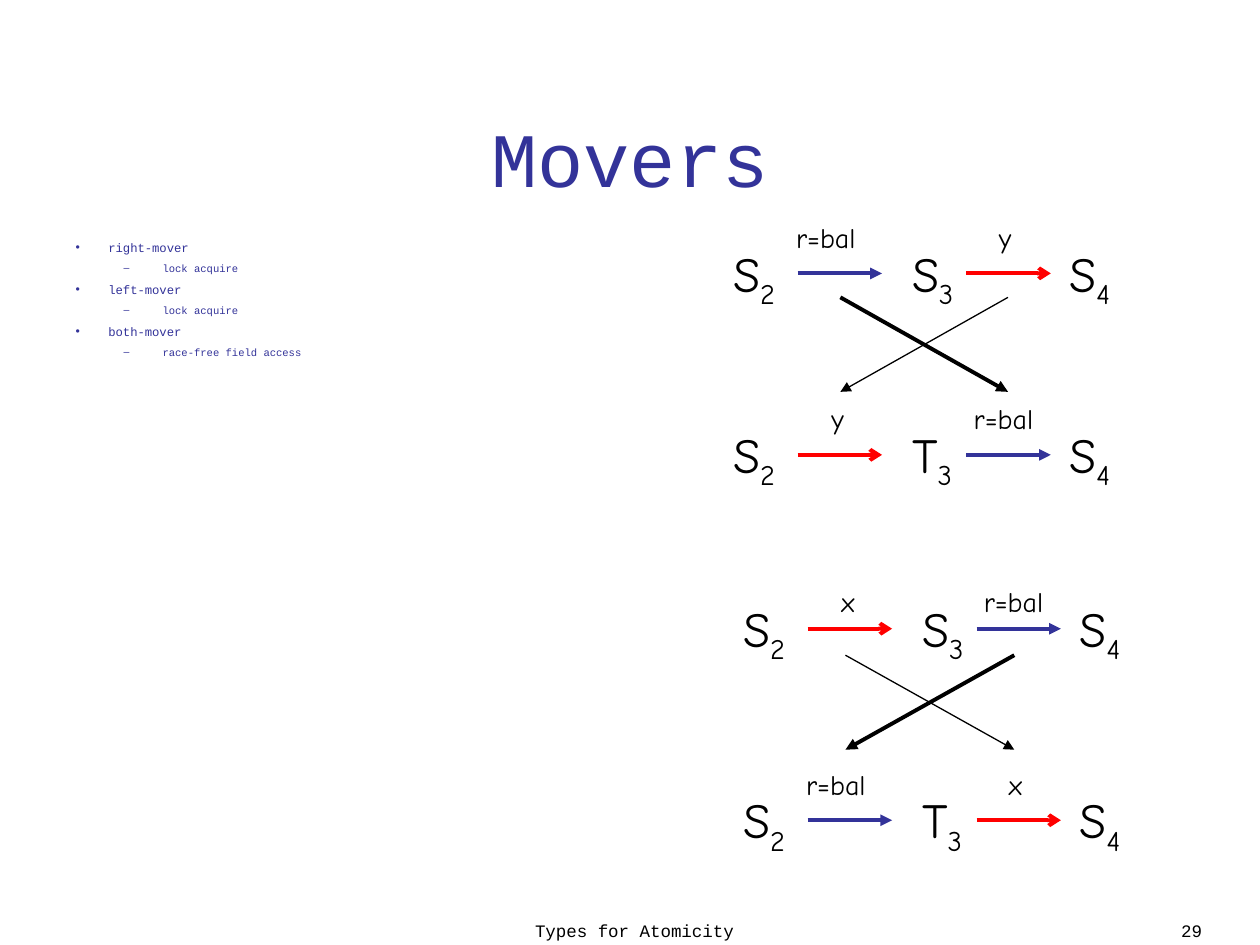
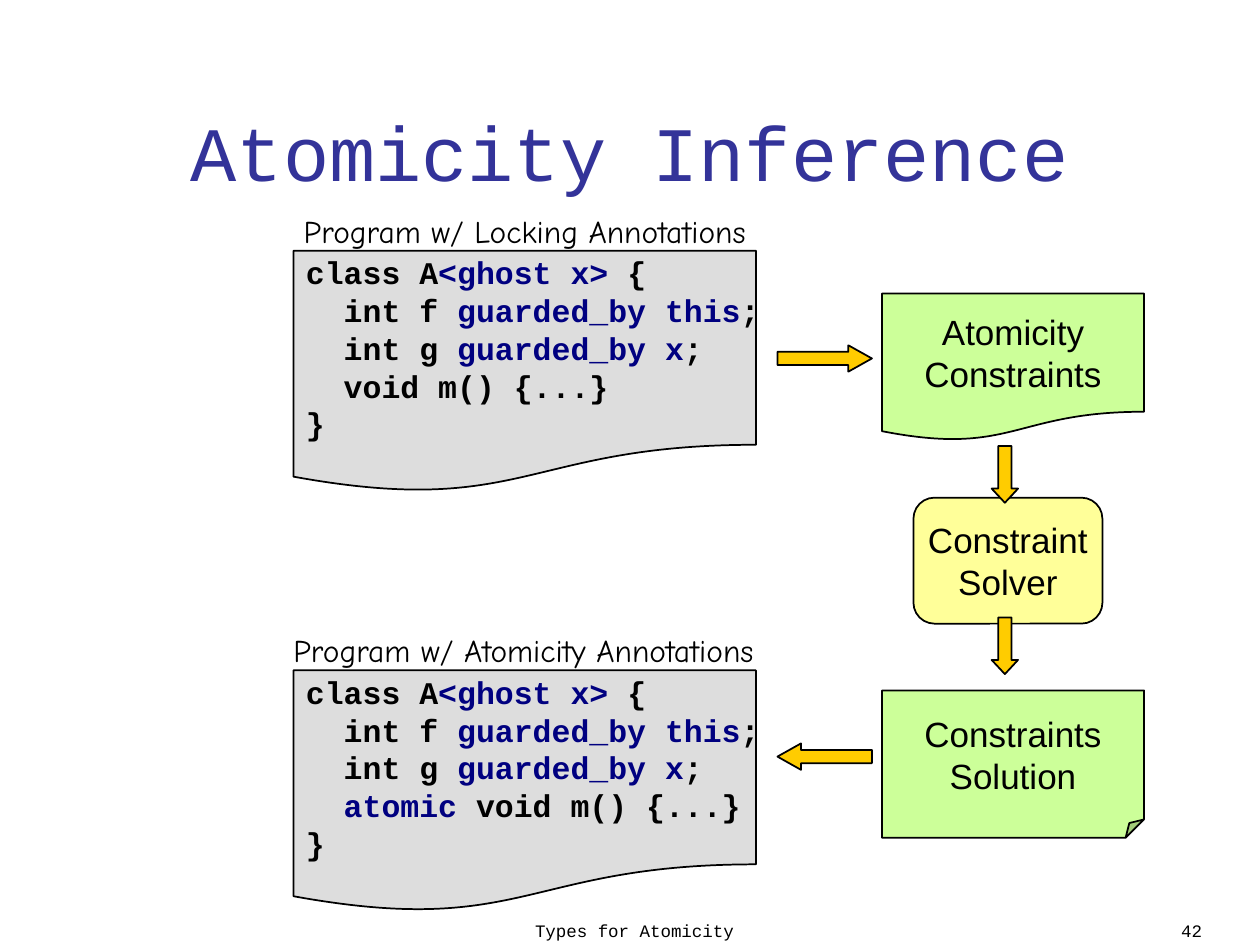
from lxml import etree
from pptx import Presentation
from pptx.dml.color import RGBColor
from pptx.enum.shapes import MSO_CONNECTOR, MSO_SHAPE
from pptx.enum.text import MSO_ANCHOR, MSO_AUTO_SIZE, PP_ALIGN
from pptx.oxml.ns import qn
from pptx.util import Inches, Pt

LEFT, CENTER, RIGHT = PP_ALIGN.LEFT, PP_ALIGN.CENTER, PP_ALIGN.RIGHT
TOP, MIDDLE = MSO_ANCHOR.TOP, MSO_ANCHOR.MIDDLE
NO_AUTOFIT = MSO_AUTO_SIZE.NONE
STRAIGHT = MSO_CONNECTOR.STRAIGHT
DOCUMENT, FOLDED = MSO_SHAPE.FLOWCHART_DOCUMENT, MSO_SHAPE.FOLDED_CORNER
ROUNDED, RIGHT_ARROW = MSO_SHAPE.ROUNDED_RECTANGLE, MSO_SHAPE.RIGHT_ARROW
LEFT_ARROW = MSO_SHAPE.LEFT_ARROW

MONO, COMIC, SANS = "Courier New", "Comic Neue", "Arial"
COLORS = {
    "black": "000000", "indigo": "333399", "red": "FF0000", "navy": "000080",
    "gray": "DDDDDD", "green": "CCFF99", "yellow": "FFFF99", "gold": "FFCC00",
}


def write(frame, text, size=18, font=COMIC, color="black", bold=False,
          align=LEFT, anchor=TOP, wrap=True, accent=None, subscript=False):
    """Fill a text frame; parts between bars are accented or subscripted."""
    frame.auto_size = NO_AUTOFIT
    frame.word_wrap = wrap
    frame.vertical_anchor = anchor
    for i, line in enumerate(text.split("\n")):
        paragraph = frame.paragraphs[0] if i == 0 else frame.add_paragraph()
        paragraph.alignment = align
        for j, part in enumerate(line.split("|")):
            if not part:
                continue
            marked = j % 2 == 1
            run = paragraph.add_run()
            run.text = part
            run.font.size = Pt(size)
            run.font.name = font
            run.font.bold = bold
            tone = accent if marked and accent else color
            run.font.color.rgb = RGBColor.from_string(COLORS[tone])
            if marked and subscript:
                run.font._element.set("baseline", "-25000")


def add_label(slide, left, top, width, height, text, **text_format):
    box = slide.shapes.add_textbox(
        Inches(left), Inches(top), Inches(width), Inches(height))
    write(box.text_frame, text, **text_format)


prs = Presentation()
prs.slide_width, prs.slide_height = Inches(10), Inches(7.5)
movers = prs.slides.add_slide(prs.slide_layouts[1])
inference = prs.slides.add_slide(prs.slide_layouts[5])

# Shared title and footer
for slide, title, (left, top, width, height), number in [
    (movers, "Movers", (0, 0.74, 10, 1), "29"),
    (inference, "Atomicity Inference", (0.5, 0.57, 9, 1.25), "42"),
]:
    heading = slide.shapes.title
    heading.left, heading.top = Inches(left), Inches(top)
    heading.width, heading.height = Inches(width), Inches(height)
    write(heading.text_frame, title, size=44, font=MONO, color="indigo",
          align=CENTER, anchor=MIDDLE)
    add_label(slide, 2.48, 7.25, 5.11, 0.52, "Types for Atomicity",
              size=10, font=MONO, align=CENTER)
    add_label(slide, 7.31, 7.25, 2.33, 0.52, number,
              size=10, font=MONO, align=RIGHT)

# Movers: list of mover kinds, each with an example below it
mover_list = movers.placeholders[1]
mover_list.left, mover_list.top = Inches(0.5), Inches(1.89)
mover_list.width, mover_list.height = Inches(6.5), Inches(0.99)
write(mover_list.text_frame,
      "right-mover\nlock acquire\nleft-mover\nlock acquire\n"
      "both-mover\nrace-free field access",
      size=7, font=MONO, color="indigo")
LEVELS = [("•", 0.26, -0.26, 7), ("–", 0.69, -0.31, 6)]
for i, paragraph in enumerate(mover_list.text_frame.paragraphs):
    level = i % 2
    bullet, margin, indent, size = LEVELS[level]
    paragraph.level = level
    properties = paragraph._p.get_or_add_pPr()
    properties.set("marL", str(Inches(margin)))
    properties.set("indent", str(Inches(indent)))
    bullet_color = etree.SubElement(properties, qn("a:buClr"))
    etree.SubElement(bullet_color, qn("a:srgbClr"), val=COLORS["indigo"])
    etree.SubElement(properties, qn("a:buChar"), char=bullet)
    paragraph.line_spacing = 0.7
    paragraph.space_before = Pt(size if i else 0)
    paragraph.runs[0].font.size = Pt(size)

# Movers: state rows with their transitions
STATE_LEFTS = (5.72, 7.14, 8.39)
STEP_LEFTS = (6.33, 7.67)
STEP_WIDTH = 0.67
LOCAL_STEP = "r=bal"
# x shift, state top, label top, middle state, steps
rows = [
    (0, 1.88, 1.70, "S", (LOCAL_STEP, "y")),
    (0, 3.32, 3.14, "T", ("y", LOCAL_STEP)),
    (0.08, 4.70, 4.59, "S", ("x", LOCAL_STEP)),
    (0.08, 6.22, 6.04, "T", (LOCAL_STEP, "x")),
]
# Crossing arrows: start x, start y, end x, end y, color, width, head
arrows = [
    (6.67, 2.36, 8, 3.11, "black", 2.25, "triangle"),
    (8, 2.36, 6.67, 3.11, "black", 0.75, "triangle"),
    (8.05, 5.2, 6.71, 5.95, "black", 2.25, "triangle"),
    (6.71, 5.2, 8.05, 5.95, "black", 0.75, "triangle"),
]
for shift, state_top, label_top, middle, steps in rows:
    for left, state in zip(STATE_LEFTS, ("S|2", middle + "|3", "S|4")):
        add_label(movers, left + shift, state_top, 0.53, 0.63, state,
                  size=28, wrap=False, subscript=True)
    for i, step in enumerate(steps):
        if step == LOCAL_STEP:
            label_left, label_width = (6.22, 7.63)[i], 0.67
            color, head = "indigo", "triangle"
        else:
            label_left, label_width = (6.5, 7.83)[i], 0.3
            color, head = "red", "arrow"
        add_label(movers, label_left + shift, label_top, label_width, 0.37,
                  step, size=16, wrap=False)
        start, y = STEP_LEFTS[i] + shift, state_top + 0.29
        arrows.append((start, y, start + STEP_WIDTH, y, color, 2.25, head))

for x1, y1, x2, y2, color, width, head in arrows:
    arrow = movers.shapes.add_connector(
        STRAIGHT, Inches(x1), Inches(y1), Inches(x2), Inches(y2))
    arrow.line.color.rgb = RGBColor.from_string(COLORS[color])
    arrow.line.width = Pt(width)
    etree.SubElement(arrow.line._get_or_add_ln(), qn("a:tailEnd"), type=head)
    etree.SubElement(arrow._element.spPr, qn("a:effectLst"))

# Inference: programs, constraints, solver and block arrows
locked_program = ("class A|<ghost x>| {\n"
                  "  int f |guarded_by this|;\n"
                  "  int g |guarded_by x|;\n"
                  "  void m() {...}\n"
                  "}")
atomic_program = locked_program.replace("void", "|atomic |void")
code_style = {"font": MONO, "bold": True, "accent": "navy"}
node_style = {"size": 20, "font": SANS, "align": CENTER}
# kind, left, top, width, height, fill, rotation, adjustments, text, style
blocks = [
    (DOCUMENT, 2.33, 1.99, 3.67, 1.92, "gray", 0, {},
     locked_program, code_style),
    (DOCUMENT, 7, 2.33, 2.08, 1.17, "green", 0, {},
     "Atomicity\nConstraints", node_style),
    (FOLDED, 7, 5.48, 2.08, 1.17, "green", 0, {"adj": 12500},
     "Constraints\nSolution", node_style),
    (ROUNDED, 7.25, 3.95, 1.5, 1, "yellow", 0, {},
     "Constraint\nSolver", node_style),
    (RIGHT_ARROW, 6.17, 2.74, 0.75, 0.21, "gold", 0, {"adj2": 89200}, "", {}),
    (LEFT_ARROW, 6.17, 5.9, 0.75, 0.21, "gold", 0, {"adj2": 89200}, "", {}),
    (RIGHT_ARROW, 7.75, 3.66, 0.45, 0.21, "gold", 90, {"adj2": 53600}, "", {}),
    (RIGHT_ARROW, 7.75, 5.02, 0.45, 0.21, "gold", 90, {"adj2": 53600}, "", {}),
    (DOCUMENT, 2.33, 5.32, 3.67, 1.92, "gray", 0, {},
     atomic_program, code_style),
]
for kind, left, top, width, height, fill, turn, adjusts, text, style in blocks:
    block = inference.shapes.add_shape(
        kind, Inches(left), Inches(top), Inches(width), Inches(height))
    block.shadow.inherit = False
    block.rotation = turn
    guides = block._element.spPr.find(qn("a:prstGeom")).find(qn("a:avLst"))
    for guide, value in adjusts.items():
        etree.SubElement(guides, qn("a:gd"), name=guide, fmla=f"val {value}")
    block.fill.solid()
    block.fill.fore_color.rgb = RGBColor.from_string(COLORS[fill])
    block.line.color.rgb = RGBColor.from_string(COLORS["black"])
    block.line.width = Pt(1)
    if text:
        write(block.text_frame, text, anchor=MIDDLE, wrap=False, **style)

# Inference: captions above the programs
add_label(inference, 1.83, 1.63, 4.67, 0.4, "Program w/ Locking Annotations",
          align=CENTER, anchor=MIDDLE)
add_label(inference, 2.23, 4.96, 4.35, 0.4, "Program w/ Atomicity Annotations",
          anchor=MIDDLE)

prs.save("out.pptx")
